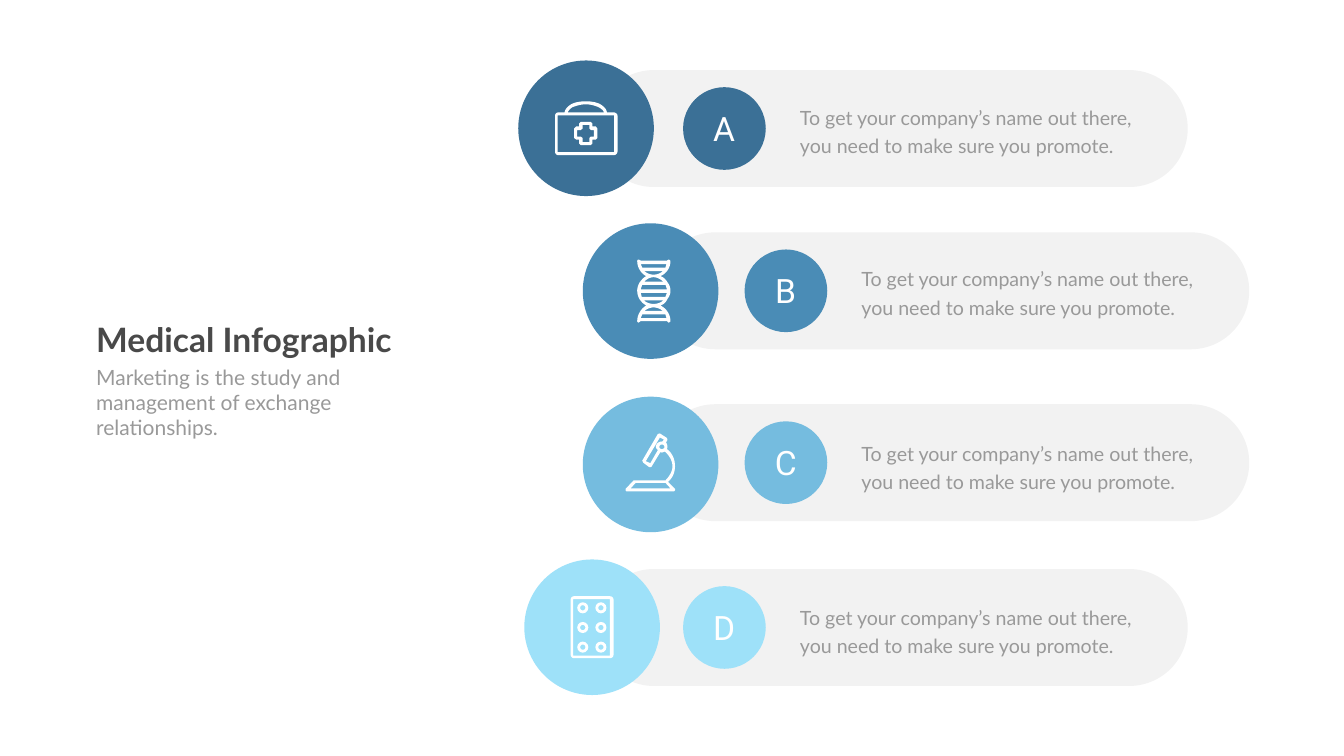
from itertools import product

from lxml.etree import SubElement
from pptx import Presentation
from pptx.dml.color import RGBColor
from pptx.enum.shapes import MSO_SHAPE
from pptx.enum.text import MSO_AUTO_SIZE, PP_ALIGN
from pptx.oxml.ns import qn
from pptx.util import Pt

PX = 9144
SLIDE_WIDTH, SLIDE_HEIGHT = 2666, 1500
PILL_WIDTH, PILL_HEIGHT = 1175, 232
DISC, BADGE, RING = 269, 164, 22
LETTER_WIDTH, LETTER_HEIGHT = 99, 91
CURVE_STEPS = 8

COLORS = {
    "A": "3B7096", "B": "4A8CB6", "C": "75BCDF", "D": "9EE1F9",
    "pill": "808080", "white": "FFFFFF", "title": "494949", "body": "999999",
}

TITLE = "Medical Infographic"
SUBTITLE = "Marketing is the study and management of exchange relationships."
PROMOTE = "To get your company’s name out there, you need to make sure you promote."

ROWS = [
    {"letter": "A", "pill": (1181, 139), "disc": (1028, 120), "text_top": 195},
    {"letter": "B", "pill": (1303, 461), "disc": (1156, 443), "text_top": 515},
    {"letter": "C", "pill": (1303, 802), "disc": (1156, 787), "text_top": 861},
    {"letter": "D", "pill": (1181, 1129), "disc": (1040, 1110), "text_top": 1187},
]

# Contour points are (x, y) for a line or six numbers for a Bézier curve.
BAG = [
    [(1217, 223), (1204, 223), (1203, 217, 1199, 212, 1191, 207),
     (1184, 203, 1173, 201, 1162, 201), (1151, 201, 1140, 203, 1133, 207),
     (1125, 212, 1121, 217, 1120, 223), (1108, 223),
     (1104, 223, 1101, 226, 1101, 230), (1101, 300),
     (1101, 305, 1104, 308, 1108, 308), (1217, 308),
     (1221, 308, 1225, 305, 1225, 300), (1225, 230),
     (1225, 226, 1221, 223, 1217, 223)],
    [(1135, 213), (1143, 210, 1152, 207, 1162, 207),
     (1172, 207, 1181, 210, 1188, 213), (1193, 216, 1197, 219, 1198, 223),
     (1126, 223), (1128, 219, 1131, 216, 1135, 213)],
    [(1106, 229), (1218, 229), (1218, 302), (1106, 302)],
]
CROSS = [
    [(1182, 251), (1175, 251), (1175, 245), (1172, 242), (1152, 242),
     (1149, 245), (1149, 251), (1143, 251), (1139, 255), (1139, 274),
     (1143, 277), (1149, 277), (1149, 285), (1152, 288), (1172, 288),
     (1175, 285), (1175, 277), (1182, 277), (1185, 274), (1185, 255)],
    [(1178, 271), (1172, 271), (1169, 274), (1169, 282), (1156, 282),
     (1156, 274), (1152, 271), (1145, 271), (1145, 258), (1152, 258),
     (1156, 255), (1156, 248), (1169, 248), (1169, 255), (1172, 258),
     (1178, 258)],
]
DNA = [
    [(1324, 593), (1328, 588, 1330, 583, 1330, 577),
     (1330, 571, 1328, 565, 1324, 560), (1321, 555, 1317, 550, 1310, 548),
     (1322, 543, 1330, 531, 1330, 518), (1330, 517, 1328, 515, 1326, 515),
     (1323, 517), (1271, 517), (1267, 515), (1265, 515, 1264, 517, 1264, 518),
     (1264, 531, 1272, 543, 1282, 548), (1277, 550, 1273, 555, 1269, 560),
     (1266, 565, 1264, 571, 1264, 577), (1264, 590, 1272, 601, 1282, 606),
     (1272, 612, 1264, 624, 1264, 637), (1264, 638, 1265, 640, 1267, 640),
     (1271, 637), (1323, 637), (1326, 640), (1328, 640, 1330, 638, 1330, 637),
     (1330, 624, 1322, 612, 1310, 606), (1317, 604, 1321, 600, 1324, 593)],
    [(1271, 524), (1322, 524), (1320, 531), (1274, 531)],
    [(1278, 538), (1315, 538), (1310, 542, 1304, 545, 1296, 545),
     (1290, 545, 1283, 542, 1278, 538)],
    [(1296, 550), (1304, 550, 1310, 554, 1316, 559), (1278, 559),
     (1282, 554, 1290, 550, 1296, 550)],
    [(1274, 565), (1320, 565), (1323, 574), (1271, 574)],
    [(1273, 589), (1271, 581), (1323, 581), (1320, 589)],
    [(1322, 631), (1271, 631), (1274, 624), (1320, 624)],
    [(1315, 617), (1278, 617), (1283, 613, 1290, 610, 1296, 610),
     (1304, 610, 1310, 613, 1315, 617)],
    [(1296, 603), (1289, 603, 1282, 600, 1277, 596), (1316, 596),
     (1311, 600, 1305, 603, 1296, 603)],
]
MICROSCOPE = [
    [(1325, 956), (1335, 948, 1339, 936, 1339, 925),
     (1339, 912, 1334, 899, 1323, 891), (1324, 887),
     (1324, 884, 1323, 880, 1321, 878), (1324, 873), (1323, 869), (1309, 860),
     (1305, 861), (1274, 914), (1276, 918), (1288, 927), (1291, 927),
     (1293, 925), (1310, 897), (1313, 898), (1319, 896),
     (1327, 903, 1334, 914, 1334, 925), (1334, 935, 1328, 945, 1321, 952),
     (1321, 953), (1257, 953), (1241, 970), (1241, 973), (1243, 975),
     (1337, 975), (1339, 973), (1339, 970)],
    [(1290, 919), (1281, 915), (1309, 868), (1317, 872), (1314, 876),
     (1313, 876), (1307, 876, 1301, 880, 1301, 887),
     (1301, 889, 1303, 891, 1305, 893)],
    [(1313, 891), (1310, 891, 1308, 889, 1308, 887),
     (1308, 884, 1310, 882, 1313, 882), (1316, 882, 1318, 884, 1318, 887),
     (1318, 889, 1316, 891, 1313, 891)],
    [(1251, 969), (1261, 958), (1320, 958), (1330, 969)],
]
PILL_PACK = [
    [(1209, 1183), (1139, 1183), (1135, 1183, 1132, 1186, 1132, 1190),
     (1132, 1299), (1132, 1303, 1135, 1306, 1139, 1306), (1209, 1306),
     (1214, 1306, 1217, 1303, 1217, 1299), (1217, 1190),
     (1217, 1186, 1214, 1183, 1209, 1183)],
    [(1210, 1301), (1137, 1301), (1137, 1189), (1210, 1189)],
]
ICONS = [BAG, CROSS, DNA, MICROSCOPE, PILL_PACK]
RING_CENTERS = product((1156, 1192), (1206, 1245, 1284))

deck = Presentation()
deck.slide_width, deck.slide_height = SLIDE_WIDTH * PX, SLIDE_HEIGHT * PX
slide = deck.slides.add_slide(deck.slide_layouts[6])


def paint(shape, color):
    shape.shadow.inherit = False
    shape.fill.solid()
    shape.fill.fore_color.rgb = RGBColor.from_string(COLORS[color])
    shape.line.fill.background()
    return shape


def add_preset(preset, left, top, width, height, color):
    box = (length * PX for length in (left, top, width, height))
    return paint(slide.shapes.add_shape(preset, *box), color)


def add_text(text, left, top, width, height, size, color, font="Lato",
             bold=False, align=PP_ALIGN.LEFT, spacing=None):
    box = (length * PX for length in (left, top, width, height))
    frame = slide.shapes.add_textbox(*box).text_frame
    frame.word_wrap = True
    frame.auto_size = MSO_AUTO_SIZE.SHAPE_TO_FIT_TEXT
    paragraph = frame.paragraphs[0]
    paragraph.alignment = align
    if spacing:
        paragraph.line_spacing = Pt(spacing)
    run = paragraph.add_run()
    run.text = text
    run.font.name, run.font.size, run.font.bold = font, Pt(size), bold
    run.font.color.rgb = RGBColor.from_string(COLORS[color])


def bezier(start, curve, t):
    controls = (start, curve[:2], curve[2:4], curve[4:])
    weights = ((1 - t) ** 3, 3 * t * (1 - t) ** 2, 3 * t * t * (1 - t), t ** 3)
    return tuple(sum(w * c[axis] for w, c in zip(weights, controls))
                 for axis in (0, 1))


def flatten(contour):
    points = []
    for node in contour:
        if len(node) == 2:
            points.append(node)
        else:
            start = points[-1]
            points += [bezier(start, node, step / CURVE_STEPS)
                       for step in range(1, CURVE_STEPS + 1)]
    return [(x * PX, y * PX) for x, y in points]


def add_icon(contours):
    outer, *holes = map(flatten, contours)
    builder = slide.shapes.build_freeform(*outer[0])
    builder.add_line_segments(outer[1:])
    for hole in holes:
        builder.move_to(*hole[0])
        builder.add_line_segments(hole[1:])
    paint(builder.convert_to_shape(), "white")


for row in ROWS:
    letter, (left, top) = row["letter"], row["pill"]
    pill = add_preset(MSO_SHAPE.ROUNDED_RECTANGLE, left, top,
                      PILL_WIDTH, PILL_HEIGHT, "pill")
    pill.adjustments[0] = 0.5
    tint = pill.fill._xPr.find(qn("a:solidFill"))[0]
    SubElement(tint, qn("a:alpha"), val="10000")
    add_preset(MSO_SHAPE.OVAL, *row["disc"], DISC, DISC, letter)
    badge_left, badge_top = left + 174, top + (PILL_HEIGHT - BADGE) // 2
    add_preset(MSO_SHAPE.OVAL, badge_left, badge_top, BADGE, BADGE, letter)
    add_text(letter, badge_left + (BADGE - LETTER_WIDTH) // 2,
             badge_top + (BADGE - LETTER_HEIGHT) // 2, LETTER_WIDTH,
             LETTER_HEIGHT, size=48, color="white", font="Roboto",
             align=PP_ALIGN.CENTER)
    add_text(PROMOTE, left + 396, row["text_top"], 726, 119,
             size=28, color="body", spacing=40.8)

for icon in ICONS:
    add_icon(icon)
for x, y in RING_CENTERS:
    ring = add_preset(MSO_SHAPE.DONUT, x - RING // 2, y - RING // 2,
                      RING, RING, "white")
    ring.adjustments[0] = 0.26

add_text(TITLE, 181, 627, 715, 91, size=48, color="title", bold=True)
add_text(SUBTITLE, 181, 718, 596, 162, size=30, color="body")

deck.save("out.pptx")
